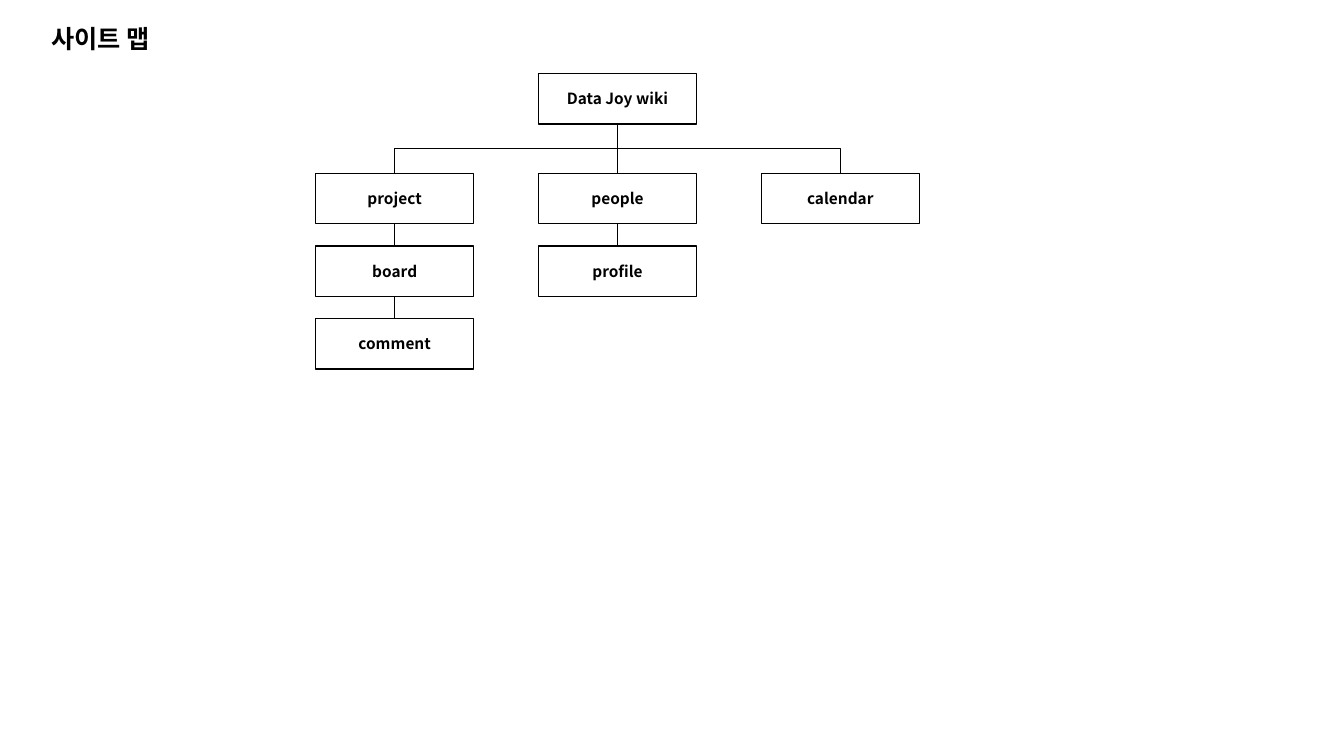
from lxml import etree
from pptx import Presentation
from pptx.dml.color import RGBColor
from pptx.enum.shapes import MSO_CONNECTOR, MSO_SHAPE
from pptx.enum.text import MSO_ANCHOR, MSO_AUTO_SIZE, PP_ALIGN
from pptx.oxml.ns import qn
from pptx.util import Inches, Pt

RECTANGLE = MSO_SHAPE.RECTANGLE
STRAIGHT = MSO_CONNECTOR.STRAIGHT
MIDDLE = MSO_ANCHOR.MIDDLE
CENTER = PP_ALIGN.CENTER
GROW = MSO_AUTO_SIZE.SHAPE_TO_FIT_TEXT
TOP, BOTTOM = 0, 2

FONT = "Noto Sans CJK KR"
BLACK = "000000"
WHITE = "FFFFFF"

# Page grid, in inches
PAGE_W, PAGE_H = 13.33, 7.5
BOX_W, BOX_H = 1.57, 0.5
FIRST_LEFT, COLUMN_STEP = 3.13, 2.21
ROOT_TOP, MENU_TOP, ROW_STEP = 0.73, 1.72, 0.72
BRANCH_Y = 1.47

MENUS = [
    ["project", "board", "comment"],
    ["people", "profile"],
    ["calendar"],
]
ROOT_COLUMN = 1


def color(hex_code):
    return RGBColor.from_string(hex_code)


def column_left(column):
    return FIRST_LEFT + column * COLUMN_STEP


def style_line(line, width):
    line.color.rgb = color(BLACK)
    line.width = Pt(width)


def add_bold_run(paragraph, text, size):
    run = paragraph.add_run()
    run.text = text
    run.font.size = Pt(size)
    run.font.bold = True
    run.font.color.rgb = color(BLACK)
    run.font.name = FONT
    # East Asian typeface for the Korean text
    latin = run.font._element.find(qn("a:latin"))
    east_asian = etree.Element(qn("a:ea"), typeface=FONT)
    latin.addnext(east_asian)


def add_title(slide, text):
    title = slide.shapes.add_textbox(Inches(0.41), Inches(0.18), Inches(1.3), Inches(0.4))
    title.text_frame.word_wrap = False
    title.text_frame.auto_size = GROW
    add_bold_run(title.text_frame.paragraphs[0], text, 18)


def add_page_box(slide, text, column, top):
    box = slide.shapes.add_shape(
        RECTANGLE, Inches(column_left(column)), Inches(top), Inches(BOX_W), Inches(BOX_H)
    )
    box.shadow.inherit = False
    box.fill.background()
    style_line(box.line, 1)
    box.text_frame.word_wrap = True
    box.text_frame.vertical_anchor = MIDDLE
    label = box.text_frame.paragraphs[0]
    label.alignment = CENTER
    add_bold_run(label, text, 11)
    return box


def link_down(slide, parent, child):
    link = slide.shapes.add_connector(STRAIGHT, 0, 0, 0, 0)
    link.begin_connect(parent, BOTTOM)
    link.end_connect(child, TOP)
    style_line(link.line, 0.5)
    etree.SubElement(link._element.spPr, qn("a:effectLst"))


def add_branch(slide, first_column, last_column):
    left, right = (
        Inches(column_left(column) + BOX_W / 2) for column in (first_column, last_column)
    )
    menu_y, branch_y = Inches(MENU_TOP), Inches(BRANCH_Y)
    outline = slide.shapes.build_freeform(left, menu_y)
    outline.add_line_segments(
        [(left, branch_y), (right, branch_y), (right, menu_y)], close=False
    )
    branch = outline.convert_to_shape()
    branch.shadow.inherit = False
    branch.fill.background()
    style_line(branch.line, 0.5)


def main():
    prs = Presentation()
    prs.slide_width, prs.slide_height = Inches(PAGE_W), Inches(PAGE_H)
    slide = prs.slides.add_slide(prs.slide_layouts[6])
    slide.background.fill.solid()
    slide.background.fill.fore_color.rgb = color(WHITE)

    add_title(slide, "사이트 맵")

    # Pages of the site
    root = add_page_box(slide, "Data Joy wiki", ROOT_COLUMN, ROOT_TOP)
    menu_boxes = [
        [
            add_page_box(slide, page, column, MENU_TOP + row * ROW_STEP)
            for row, page in enumerate(pages)
        ]
        for column, pages in enumerate(MENUS)
    ]

    # Links between the pages
    add_branch(slide, 0, len(MENUS) - 1)
    link_down(slide, root, menu_boxes[ROOT_COLUMN][0])
    for boxes in menu_boxes:
        for parent, child in zip(boxes, boxes[1:]):
            link_down(slide, parent, child)

    prs.save("out.pptx")


if __name__ == "__main__":
    main()
